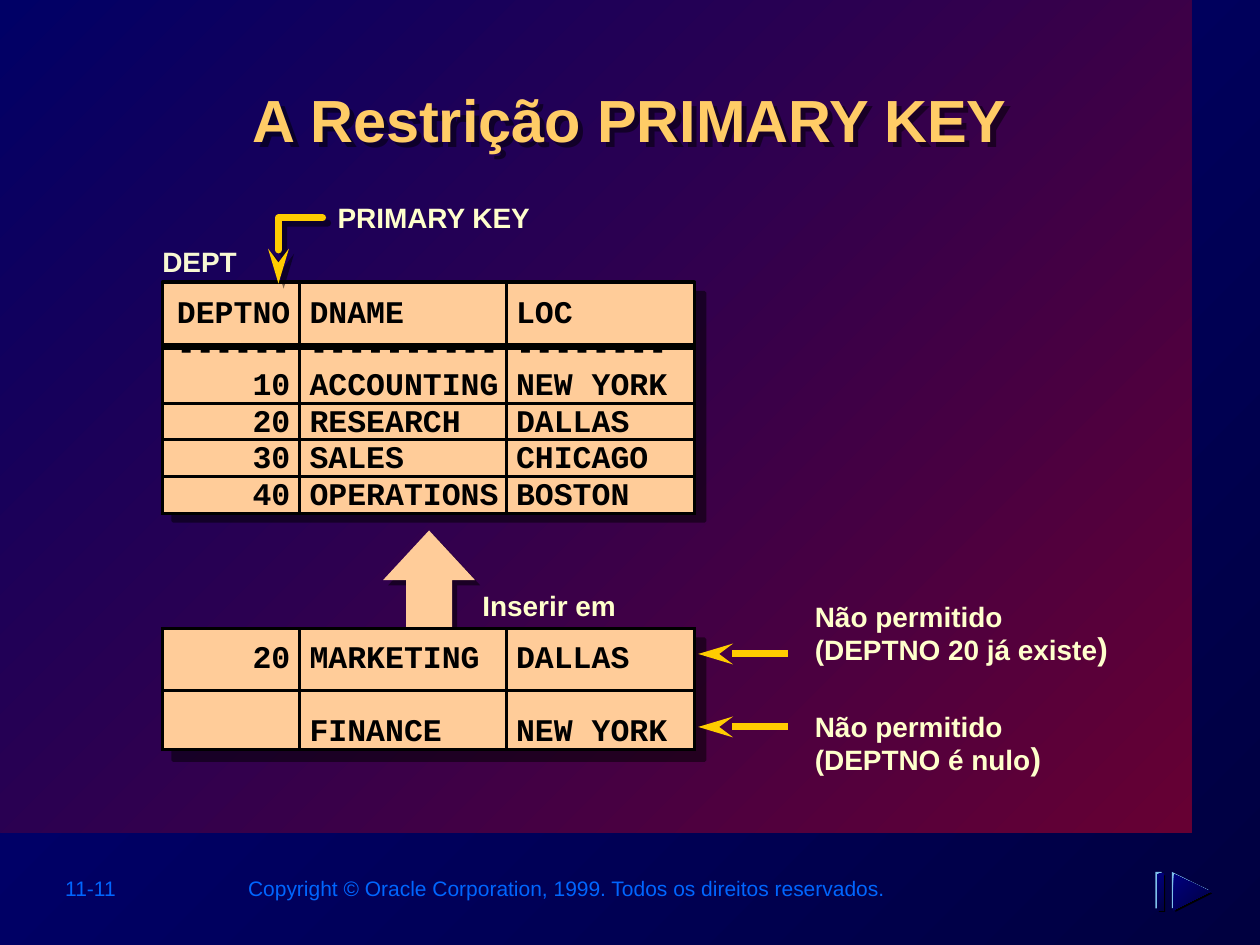
from pptx import Presentation
from pptx.dml.color import RGBColor
from pptx.enum.shapes import MSO_CONNECTOR as Connector, MSO_SHAPE as Shape
from pptx.enum.text import MSO_ANCHOR as Anchor, PP_ALIGN as Align
from pptx.oxml import parse_xml
from pptx.oxml.ns import nsdecls, qn
from pptx.util import Pt

PEACH, GOLD, CREAM, BLACK = "FFCC99", "FFCC00", "FFFFCC", "000000"
NAVY = ("000080", "000040")
COLUMNS = (78.5, 118, 107.3)
TABLE_LEFT = 92.9
DEPT_ROWS = [
    ("DEPTNO", "DNAME", "LOC"),
    ("------\n10", "----------\nACCOUNTING", "--------\nNEW YORK"),
    ("20", "RESEARCH", "DALLAS"),
    ("30", "SALES", "CHICAGO"),
    ("40", "OPERATIONS", "BOSTON"),
]
NEW_ROWS = [("20", "MARKETING", "DALLAS"), ("", "FINANCE", "NEW YORK")]


def rgb(value):
    return RGBColor.from_string(value)


def paint(fill, color):
    if isinstance(color, str):
        fill.solid()
        fill.fore_color.rgb = rgb(color)
        return
    fill.gradient()
    fill.gradient_angle = 315
    for stop, value in zip(fill.gradient_stops, color):
        stop.color.rgb = rgb(value)


def add_shadow(shape, distance):
    shape.shadow.inherit = False
    effects = shape._element.spPr.find(qn("a:effectLst"))
    effects.append(parse_xml(
        f'<a:outerShdw {nsdecls("a")} blurRad="0" dist="{Pt(distance)}" dir="2700000" '
        f'algn="ctr" rotWithShape="0"><a:srgbClr val="{BLACK}"><a:alpha val="50000"/>'
        '</a:srgbClr></a:outerShdw>'))


def style_shape(shape, fill=None, line=None, width=2, shadow=0):
    shape.shadow.inherit = False
    if fill:
        paint(shape.fill, fill)
    else:
        shape.fill.background()
    if line:
        shape.line.color.rgb = rgb(line)
        shape.line.width = Pt(width)
    else:
        shape.line.fill.background()
    if shadow:
        add_shadow(shape, shadow)
    return shape


def add_block(page, kind, left, top, width, height, **style):
    block = page.shapes.add_shape(kind, Pt(left), Pt(top), Pt(width), Pt(height))
    return style_shape(block, **style)


def add_outline(page, points, close=True, **style):
    corners = [(Pt(x), Pt(y)) for x, y in points]
    builder = page.shapes.build_freeform(*corners[0])
    builder.add_line_segments(corners[1:], close=close)
    return style_shape(builder.convert_to_shape(), **style)


def add_arrowhead(shape, end):
    line = shape._element.spPr.find(qn("a:ln"))
    line.append(parse_xml(f'<a:{end} {nsdecls("a")} type="stealth" w="med" len="lg"/>'))


def add_span(para, text, size=16, color=CREAM, bold=True, font="Arial"):
    for index, piece in enumerate(text.split("\n")):
        if index:
            para.add_line_break()
        span = para.add_run()
        span.text = piece
        span.font.size = Pt(size)
        span.font.bold = bold
        span.font.name = font
        span.font.color.rgb = rgb(color)


def add_label(page, text, left, top, width, height, align=Align.LEFT,
              spacing=0.9, closing="", inset=3.6, **style):
    box = page.shapes.add_textbox(Pt(left), Pt(top), Pt(width), Pt(height))
    box.text_frame.word_wrap = True
    box.text_frame.margin_top = Pt(inset)
    para = box.text_frame.paragraphs[0]
    para.alignment = align
    para.line_spacing = spacing
    add_span(para, text, **style)
    if closing:
        add_span(para, closing, size=18)
    return box


def add_left_arrow(page, y):
    arrow = page.shapes.add_connector(Connector.STRAIGHT, Pt(399), Pt(y), Pt(450), Pt(y))
    arrow.line.color.rgb = rgb(GOLD)
    arrow.line.width = Pt(4)
    add_arrowhead(arrow, "headEnd")
    arrow._element.spPr.append(parse_xml(f'<a:effectLst {nsdecls("a")}/>'))


def set_borders(cell, top, bottom):
    properties = cell._tc.get_or_add_tcPr()
    sides = {"lnL": 2, "lnR": 2, "lnT": top, "lnB": bottom}
    for index, (side, width) in enumerate(sides.items()):
        properties.insert(index, parse_xml(
            f'<a:{side} {nsdecls("a")} w="{Pt(width)}"><a:solidFill>'
            f'<a:srgbClr val="{BLACK}"/></a:solidFill></a:{side}>'))


def fill_cell(cell, text, align, anchor):
    cell.margin_left = Pt(5.5)
    cell.margin_right = Pt(5.5 if align == Align.RIGHT else 0)
    cell.margin_top = cell.margin_bottom = 0
    cell.vertical_anchor = anchor
    paint(cell.fill, PEACH)
    lines = text.split("\n")
    for index, line in enumerate(lines):
        para = cell.text_frame.add_paragraph() if index else cell.text_frame.paragraphs[0]
        para.alignment = align
        para.line_spacing = Pt(12) if index < len(lines) - 1 else 0.95
        if line:
            add_span(para, line, size=18, color=BLACK, font="Courier New")


def add_data_table(page, rows, heights, top, header_line=2):
    size = (sum(COLUMNS), sum(heights))
    add_block(page, Shape.RECTANGLE, TABLE_LEFT, top, *size,
              fill=PEACH, line=BLACK, shadow=8.5)
    frame = page.shapes.add_table(len(rows), len(COLUMNS), Pt(TABLE_LEFT), Pt(top),
                                  *map(Pt, size))
    table = frame.table
    table.first_row = table.horz_banding = False
    for column, width in zip(table.columns, COLUMNS):
        column.width = Pt(width)
    for r, (values, height) in enumerate(zip(rows, heights)):
        table.rows[r].height = Pt(height)
        for c, value in enumerate(values):
            cell = table.cell(r, c)
            fill_cell(cell, value, Align.LEFT if c else Align.RIGHT,
                      Anchor.BOTTOM if r else Anchor.MIDDLE)
            set_borders(cell, header_line if r == 1 else 2, header_line if r == 0 else 2)


def add_forward_icon(page):
    layers = [(2, BLACK), (0, "7FC1EB"), (1, NAVY)]
    for shift, color in layers:
        add_block(page, Shape.RECTANGLE, 660.2 + shift, 498.2 + shift, 3.6, 20.9, fill=color)
    for shift, color in layers:
        x, y = 669.6 + shift, 498.2 + shift
        add_outline(page, [(x + 21, y + 10.4), (x, y), (x, y + 20.9)], fill=color)


def main():
    deck = Presentation()
    deck.slide_width, deck.slide_height = Pt(720), Pt(540)
    page = deck.slides.add_slide(deck.slide_layouts[6])
    paint(page.background.fill, NAVY)
    add_block(page, Shape.RECTANGLE, 0, 0, 681, 475.5, fill=("000066", "660033"))

    footer = dict(size=12, color="0066FF", bold=False, spacing=1)
    add_label(page, "11-11", 30.2, 496.8, 86.4, 21.6, **footer)
    add_label(page, "Copyright © Oracle Corporation, 1999. Todos os direitos reservados.",
              120, 496.8, 393, 21.6, align=Align.RIGHT, **footer)
    title = add_label(page, "A Restrição PRIMARY KEY", 72.7, 40.3, 574.6, 69.1,
                      align=Align.CENTER, spacing=1, inset=7, size=34, color="FFCC66")
    add_shadow(title, 4.2)

    add_label(page, "DEPT", 85.7, 136, 62, 28.8, spacing=1, color="F8F8D3")
    add_data_table(page, DEPT_ROWS, (36.7, 31, 20.9, 20.9, 20.9), 161.3, header_line=4)
    add_label(page, "PRIMARY KEY", 185.8, 113, 231, 24.5)
    pointer = add_outline(page, [(184.3, 124.5), (159.1, 124.5), (159.1, 162)],
                          close=False, line=GOLD, width=4, shadow=4.2)
    pointer._element.spPr.find(qn("a:ln")).set("cap", "rnd")
    add_arrowhead(pointer, "tailEnd")

    add_label(page, "Inserir em", 268.6, 334.8, 204.5, 24.5)
    insert_arrow = add_block(page, Shape.UP_ARROW, 218.9, 303.1, 52.6, 56.9,
                             fill=PEACH, shadow=4.2)
    insert_arrow.adjustments[1] = 0.54
    add_data_table(page, NEW_ROWS, (35.3, 33.8), 359.3)

    for reason, top, arrow_y in [("DEPTNO 20 já existe", 341.3, 373.7),
                                 ("DEPTNO é nulo", 403.9, 415.4)]:
        add_label(page, f"Não permitido\n({reason}", 458.6, top, 204.5, 43.9, closing=")")
        add_left_arrow(page, arrow_y)
    add_forward_icon(page)
    deck.save("out.pptx")


if __name__ == "__main__":
    main()
